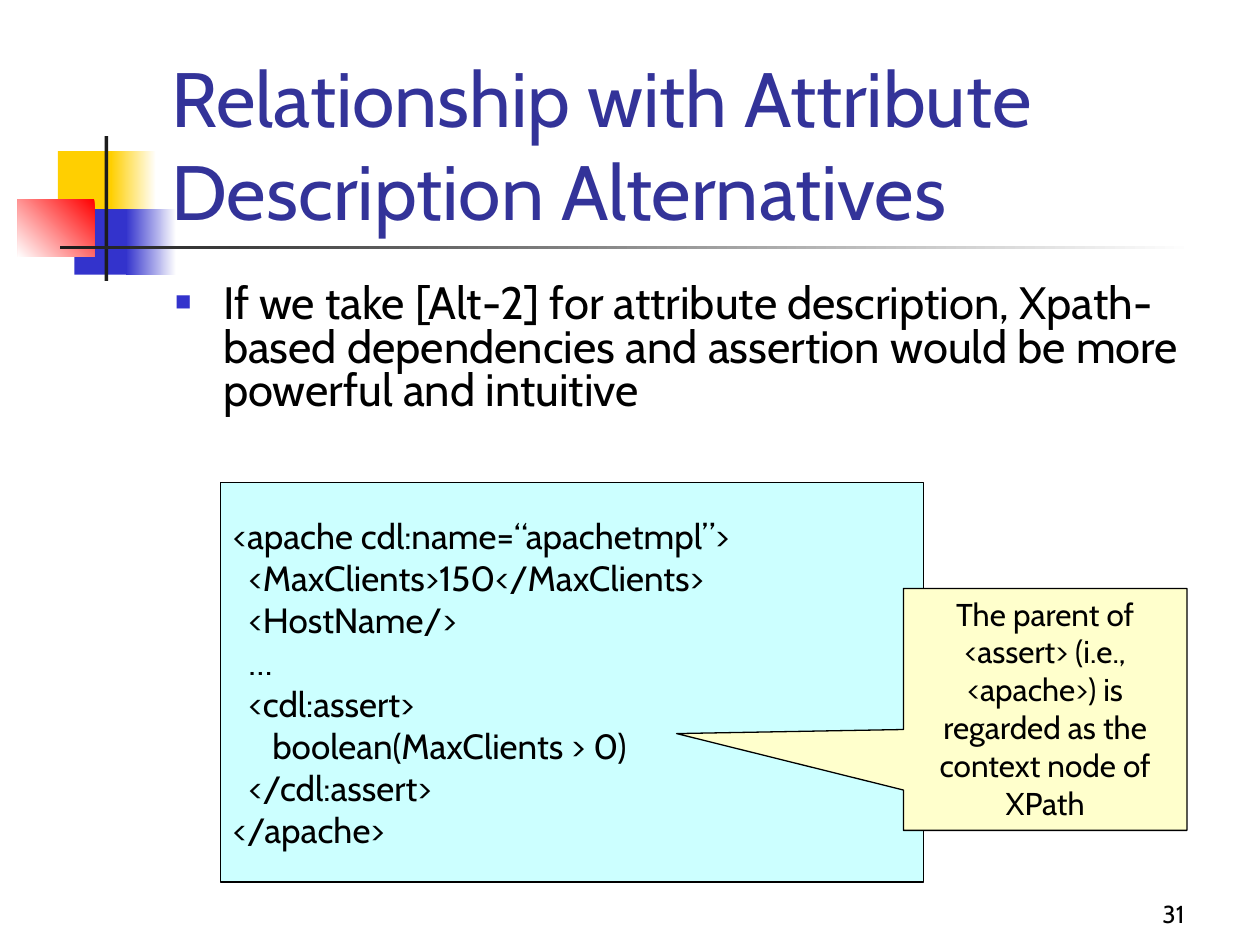
from lxml import etree
from pptx import Presentation
from pptx.dml.color import RGBColor
from pptx.enum.shapes import MSO_SHAPE
from pptx.enum.text import MSO_ANCHOR, MSO_AUTO_SIZE, PP_ALIGN
from pptx.oxml.ns import qn
from pptx.util import Inches, Pt

RECTANGLE, CALLOUT = MSO_SHAPE.RECTANGLE, MSO_SHAPE.RECTANGULAR_CALLOUT
TOP, MIDDLE, BOTTOM = MSO_ANCHOR.TOP, MSO_ANCHOR.MIDDLE, MSO_ANCHOR.BOTTOM
LEFT, CENTER, RIGHT = PP_ALIGN.LEFT, PP_ALIGN.CENTER, PP_ALIGN.RIGHT
NO_FIT = MSO_AUTO_SIZE.NONE

FONT = "Cabin"
BLACK, WHITE, CHARCOAL = "000000", "FFFFFF", "1C1C1C"
YELLOW, BLUE, RED = "FFCF01", "3333CC", "FF0000"

# Box, gradient start and end colours, counterclockwise angle
ORNAMENTS = [
    ((0.46, 1.2, 0.48, 0.52), (YELLOW,), 0),
    ((0.88, 1.2, 0.36, 0.52), (WHITE, YELLOW), 180),
    ((0.59, 1.66, 0.46, 0.52), (BLUE,), 0),
    ((1, 1.66, 0.4, 0.52), (WHITE, BLUE), 180),
    ((0.14, 1.58, 0.61, 0.46), (RED, WHITE), 225),
    ((0.83, 1.08, 0.03, 1.15), (CHARCOAL,), 0),
    ((0.48, 1.95, 9, 0.03), (WHITE, CHARCOAL), 180),
]

CODE = """<apache cdl:name=“apachetmpl”>
  <MaxClients>150</MaxClients>
  <HostName/>
  …
  <cdl:assert>
     boolean(MaxClients > 0)
  </cdl:assert>
</apache>"""


def color(value):
    return RGBColor.from_string(value)


def place(shape, box):
    for name, length in zip(("left", "top", "width", "height"), box):
        setattr(shape, name, Inches(length))


def add_block(page, kind, box, fill, line=None):
    shape = page.shapes.add_shape(kind, *map(Inches, box))
    shape.shadow.inherit = False
    shape.fill.solid()
    shape.fill.fore_color.rgb = color(fill)
    if line:
        shape.line.color.rgb = color(line)
        shape.line.width = Pt(0.75)
    else:
        shape.line.fill.background()
    return shape


def write(shape, text, size, anchor=TOP, align=LEFT, ink=BLACK):
    frame = shape.text_frame
    frame.text = text
    frame_format = {
        "word_wrap": True, "auto_size": NO_FIT, "vertical_anchor": anchor,
        "margin_left": Inches(0.1), "margin_right": Inches(0.1),
        "margin_top": Inches(0.05), "margin_bottom": Inches(0.05),
    }
    for name, value in frame_format.items():
        setattr(frame, name, value)
    for para in frame.paragraphs:
        para.alignment = align
        for span in para.runs:
            for name, value in {"name": FONT, "size": Pt(size)}.items():
                setattr(span.font, name, value)
            span.font.color.rgb = color(ink)


def add_bullet(para, mark, tint, percent, indent):
    properties = para._p.get_or_add_pPr()
    properties.set("marL", str(Inches(indent)))
    properties.set("indent", str(-Inches(indent)))
    bullet_color = etree.SubElement(properties, qn("a:buClr"))
    etree.SubElement(bullet_color, qn("a:srgbClr"), val=tint)
    etree.SubElement(properties, qn("a:buSzPct"), val=str(percent * 1000))
    etree.SubElement(properties, qn("a:buChar"), char=mark)


def draw_ornaments(page):
    for box, colors, angle in ORNAMENTS:
        block = add_block(page, RECTANGLE, box, colors[0])
        if len(colors) > 1:
            block.fill.gradient()
            block.fill.gradient_angle = angle
            for stop, tint in zip(block.fill.gradient_stops, colors):
                stop.color.rgb = color(tint)


def fill_title(page, box):
    title = page.shapes.title
    page.shapes.element.append(title.element)  # in front of the ornaments
    place(title, box)
    write(title, "Relationship with Attribute Description Alternatives",
          44, BOTTOM, ink="333399")


def fill_body(page, box):
    body = page.placeholders[1]
    page.shapes.element.append(body.element)
    place(body, box)
    write(body, "If we take [Alt-2] for attribute description, Xpath-based "
          "dependencies and assertion would be more powerful and intuitive", 25.9)
    para = body.text_frame.paragraphs[0]
    add_bullet(para, "■", BLUE, 60, 0.38)
    para.line_spacing = 0.8
    para.space_before = Pt(0)


def draw_code(page, box):
    panel = add_block(page, RECTANGLE, box, "CCFFFF", BLACK)
    write(panel, CODE, 20, MIDDLE)


def draw_callout(page, box):
    callout = add_block(page, CALLOUT, box, "FFFFCC", BLACK)
    callout.adjustments[0] = -1.3
    callout.adjustments[1] = 0.1
    write(callout, "The parent of <assert> (i.e., <apache>) is regarded as "
          "the context node of XPath", 18, align=CENTER)


def add_page_number(page, box):
    number = page.shapes.add_textbox(*map(Inches, box))
    write(number, "31", 14, BOTTOM, RIGHT)


def main():
    deck = Presentation()
    deck.slide_width, deck.slide_height = Inches(10), Inches(7.5)
    page = deck.slides.add_slide(deck.slide_layouts[1])
    draw_ornaments(page)
    fill_title(page, (1.26, 0.67, 8.52, 1.25))
    fill_body(page, (1.29, 2.21, 8.5, 1.21))
    draw_code(page, (1.75, 3.83, 5.58, 3.17))
    draw_callout(page, (7.17, 4.67, 2.25, 1.92))
    add_page_number(page, (7.42, 6.92, 2.08, 0.5))
    deck.save("out.pptx")


if __name__ == "__main__":
    main()
